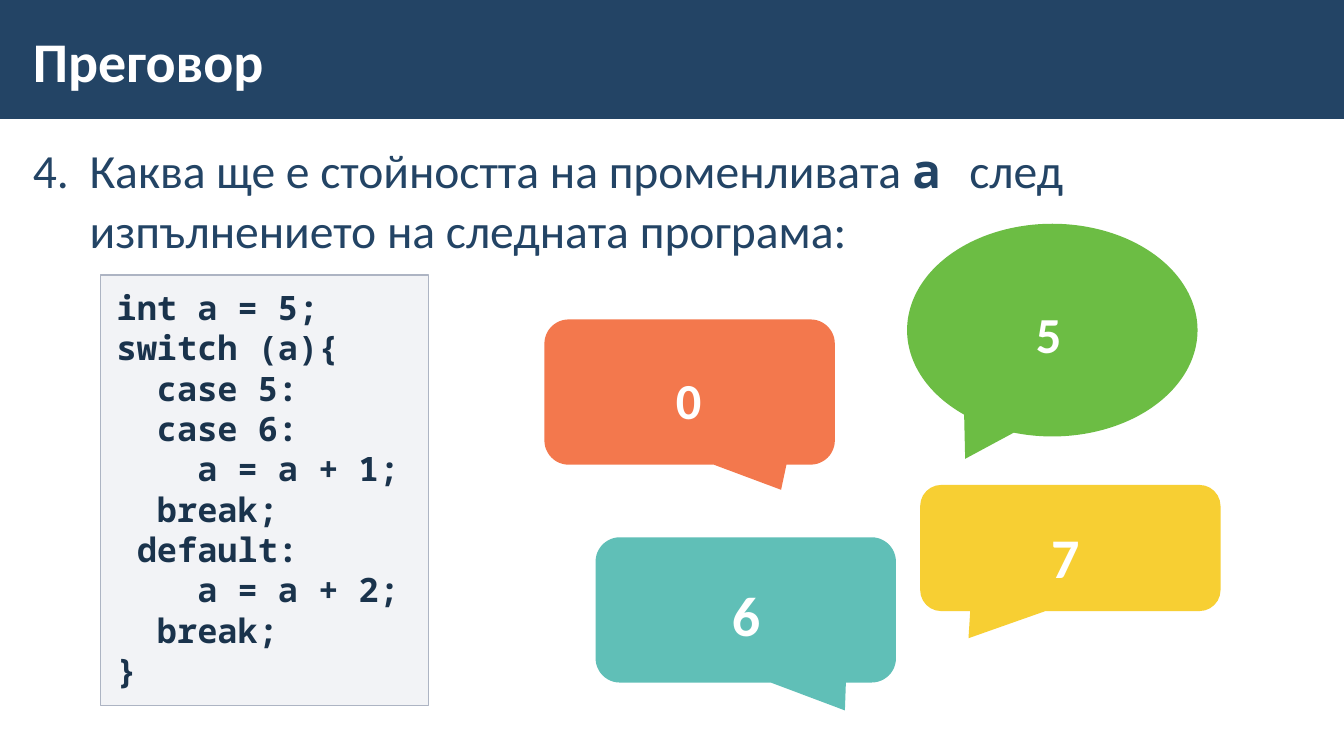
from lxml.etree import SubElement
from pptx import Presentation
from pptx.dml.color import RGBColor
from pptx.enum.shapes import MSO_SHAPE
from pptx.enum.text import MSO_ANCHOR, PP_ALIGN
from pptx.oxml.ns import qn
from pptx.util import Cm, Pt

NAVY = RGBColor(0x23, 0x44, 0x65)
INK = RGBColor(0x1A, 0x33, 0x4C)
GREY = RGBColor(0xAD, 0xB4, 0xC3)
WHITE = RGBColor(0xFF, 0xFF, 0xFF)
GREEN = RGBColor(0x6C, 0xBD, 0x44)
YELLOW = RGBColor(0xF5, 0xC3, 0x00)
ORANGE = RGBColor(0xF1, 0x57, 0x21)
TEAL = RGBColor(0x60, 0xBF, 0xB7)

SANS = "Calibri"
MONO = "Noto Sans Mono"
OVAL = MSO_SHAPE.OVAL_CALLOUT
ROUNDED = MSO_SHAPE.ROUNDED_RECTANGULAR_CALLOUT

CODE = """int a = 5;
switch (a){
  case 5:
  case 6:
    a = a + 1;
  break;
 default:
    a = a + 2;
  break;
}"""

ANSWERS = [
    ("5", 36, OVAL, GREEN, 100, (22.86, 5.64, 7.32, 5.36),
     (-0.3, 0.605), (24.26, 7.19, 4.34, 2.13)),
    ("7", 40, ROUNDED, YELLOW, 80, (23.19, 12.22, 7.57, 3.18),
     (-0.339, 0.715, 0.167), (23.11, 12.7, 7.47, 2.39)),
    ("0", 36, ROUNDED, ORANGE, 80, (13.72, 8.05, 7.32, 3.66),
     (0.315, 0.673, 0.167), (16.2, 8.84, 2.31, 2.21)),
    ("6", 40, ROUNDED, TEAL, 100, (15.01, 13.54, 7.57, 3.66),
     (0.33, 0.692, 0.167), (15.39, 14.17, 6.83, 2.39)),
]


def set_font(font, size, color, name=SANS, bold=True):
    font.name = name
    font.size = Pt(size)
    font.bold = bold
    font.color.rgb = color


def set_frame(frame, side, edge, anchor=MSO_ANCHOR.TOP):
    frame.word_wrap = True
    frame.margin_left = frame.margin_right = Cm(side)
    frame.margin_top = frame.margin_bottom = Cm(edge)
    frame.vertical_anchor = anchor


def add_panel(shapes, kind, place, color, opacity=100):
    panel = shapes.add_shape(kind, *map(Cm, place))
    panel.shadow.inherit = False
    panel.line.fill.background()
    panel.fill.solid()
    panel.fill.fore_color.rgb = color
    if opacity < 100:
        tint = panel.fill._xPr.find(".//" + qn("a:srgbClr"))
        SubElement(tint, qn("a:alpha"), val=str(opacity * 1000))
    return panel


def add_text(shapes, place, side, edge, anchor=MSO_ANCHOR.TOP):
    frame = shapes.add_textbox(*map(Cm, place)).text_frame
    set_frame(frame, side, edge, anchor)
    return frame.paragraphs[0]


def add_heading(shapes):
    add_panel(shapes, MSO_SHAPE.RECTANGLE, (0, -0.05, 33.87, 3.05), NAVY)
    heading = add_text(shapes, (0.53, 0.28, 26.39, 2.46), 0.3, 0.1, MSO_ANCHOR.MIDDLE)
    heading.text = "Преговор"
    set_font(heading.font, 40, WHITE)


def add_question(shapes, number):
    question = add_text(shapes, (0.53, 3.38, 32.79, 14.4), 0.3, 0.1)
    question.line_spacing = 1.05
    question.space_before = question.space_after = Pt(6)
    properties = question._p.get_or_add_pPr()
    properties.set("marL", str(Cm(1.43)))
    properties.set("indent", str(Cm(-1.43)))
    SubElement(properties, qn("a:buAutoNum"), type="arabicPeriod", startAt=str(number))

    def add_part(wording, name, bold):
        part = question.add_run()
        part.text = wording
        set_font(part.font, 34, NAVY, name, bold)

    add_part("Каква ще е стойността на променливата ", SANS, False)
    add_part("а ", MONO, True)
    add_part("след ", SANS, False)
    question.add_line_break()
    add_part("изпълнението на следната програма:", SANS, False)


def add_code(shapes):
    listing = add_panel(shapes, MSO_SHAPE.RECTANGLE, (2.54, 6.93, 8.26, 10.85), GREY, 15)
    listing.line.color.rgb = GREY
    listing.line.width = Pt(1)
    set_frame(listing.text_frame, 0.4, 0.3)
    listing.text_frame.text = CODE
    for statement in listing.text_frame.paragraphs:
        statement.alignment = PP_ALIGN.LEFT
        set_font(statement.font, 24, INK, MONO)


def add_answer(shapes, value, size, kind, color, opacity, bubble_place, tail, value_place):
    answer = shapes.add_group_shape().shapes
    bubble = add_panel(answer, kind, bubble_place, color, opacity)
    for index, offset in enumerate(tail):
        bubble.adjustments[index] = offset
    label = add_text(answer, value_place, 0.4, 0.3)
    label.text = value
    label.alignment = PP_ALIGN.CENTER
    label.line_spacing = 1.1
    set_font(label.font, size, WHITE)


def main():
    deck = Presentation()
    deck.slide_width = Cm(33.87)
    deck.slide_height = Cm(19.05)
    shapes = deck.slides.add_slide(deck.slide_layouts[6]).shapes
    add_heading(shapes)
    add_question(shapes, 4)
    for answer in ANSWERS:
        add_answer(shapes, *answer)
    add_code(shapes)
    deck.save("out.pptx")


if __name__ == "__main__":
    main()
